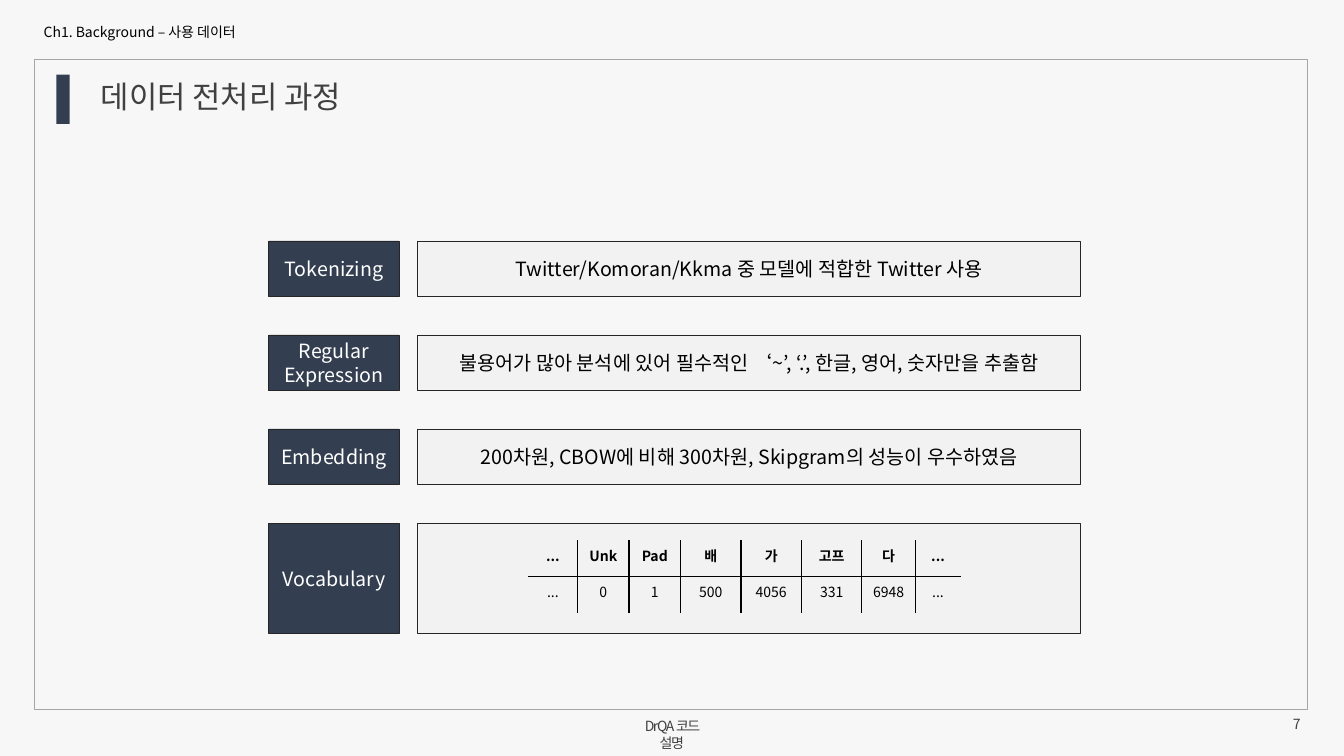
from pptx import Presentation
from pptx import util as u
from pptx.dml.color import RGBColor
from pptx.enum import shapes, text
from pptx.oxml.ns import qn
from lxml import etree

FONT = "Noto Sans CJK KR"
NAVY, INK, GREY, BLACK, WHITE = "333F50", "262626", "404040", "000000", "FFFFFF"
LEFT, CENTER, RIGHT = text.PP_ALIGN.LEFT, text.PP_ALIGN.CENTER, text.PP_ALIGN.RIGHT
TOP, MIDDLE = text.MSO_ANCHOR.TOP, text.MSO_ANCHOR.MIDDLE


def color(value):
    return RGBColor.from_string(value)


class Deck:
    """Holds the style and current slide; lengths are percentages of its size."""

    def __init__(self, width, height, background):
        self.prs = Presentation()
        self.prs.slide_width, self.prs.slide_height = u.Inches(width), u.Inches(height)
        self.s = self.prs.slides.add_slide(self.prs.slide_layouts[1])
        self.s.background.fill.solid()
        self.s.background.fill.fore_color.rgb = color(background)

    def x(self, share):
        return round(self.prs.slide_width * share / 100)

    def y(self, share):
        return round(self.prs.slide_height * share / 100)

    def box(self, left, top, width, height):
        return self.x(left), self.y(top), self.x(width), self.y(height)

    def set_text(self, tf, words, size, ink, align=LEFT, bold=False, spacing=None):
        tf.text = words
        p = tf.paragraphs[0]
        p.alignment, p.line_spacing = align, spacing
        for r in p.runs:
            r.font.size, r.font.name, r.font.bold = u.Pt(size), FONT, bold
            r.font.color.rgb = color(ink)
            etree.SubElement(r.font._element, qn("a:ea"), typeface=FONT)
        return p

    def placeholder(self, sp, area, words, size, ink):
        sp.left, sp.top, sp.width, sp.height = self.box(*area)
        tf = sp.text_frame
        tf.vertical_anchor, tf.auto_size = TOP, text.MSO_AUTO_SIZE.NONE
        p = self.set_text(tf, words, size, ink, spacing=0.9)
        p.space_before = u.Pt(10)
        pPr = p._p.get_or_add_pPr()
        pPr.set("marL", "0")
        pPr.set("indent", "0")
        etree.SubElement(pPr, qn("a:buNone"))

    def rect(self, area, fill=None, line=None, words="", ink=BLACK):
        sp = self.s.shapes.add_shape(shapes.MSO_SHAPE.RECTANGLE, *self.box(*area))
        sp.shadow.inherit = False
        if fill:
            sp.fill.solid()
            sp.fill.fore_color.rgb = color(fill)
        else:
            sp.fill.background()
        if line:
            sp.line.color.rgb, sp.line.width = color(line), u.Pt(0.5)
        else:
            sp.line.fill.background()
        if words:
            sp.text_frame.vertical_anchor = MIDDLE
            self.set_text(sp.text_frame, words, 14, ink, CENTER)

    def note(self, area, words, align, anchor, tracking=0):
        tf = self.s.shapes.add_textbox(*self.box(*area)).text_frame
        tf.word_wrap, tf.vertical_anchor = True, anchor
        tf.margin_left = tf.margin_right = u.Inches(0.07)
        tf.margin_top = tf.margin_bottom = u.Inches(0.04)
        p = self.set_text(tf, words, 10, GREY, align)
        if tracking:
            p.runs[0].font._element.set("spc", str(tracking))

    def border(self, cell, side, shown):
        ln = etree.SubElement(cell._tc.get_or_add_tcPr(), qn("a:ln" + side), w=str(u.Pt(1)))
        if shown:
            fill = etree.SubElement(ln, qn("a:solidFill"))
            etree.SubElement(fill, qn("a:srgbClr"), val=BLACK)
        else:
            etree.SubElement(ln, qn("a:noFill"))

    def table(self, left, top, widths, row_height, rows):
        area = self.box(left, top, sum(widths), row_height * len(rows))
        tbl = self.s.shapes.add_table(len(rows), len(widths), *area).table
        tbl.horz_banding = tbl.first_row = False
        for column, width in zip(tbl.columns, widths):
            column.width = self.x(width)
        last_row, last_col = len(rows) - 1, len(widths) - 1
        for i, row in enumerate(rows):
            for j, words in enumerate(row):
                cell = tbl.cell(i, j)
                self.set_text(cell.text_frame, words, 10, BLACK, CENTER, bold=i == 0)
                # Only the inner grid lines show
                inner = {"L": j > 0, "R": j < last_col, "T": i > 0, "B": i < last_row}
                for side, shown in inner.items():
                    self.border(cell, side, shown)
                cell.fill.background()


deck = Deck(13.33, 7.5, "F7F7F7")

# Headings
title, body = deck.s.placeholders
deck.placeholder(title, (6.75, 10.13, 88.67, 6.27), "데이터 전처리 과정", 22, GREY)
deck.placeholder(body, (2.5, 2.67, 43.2, 3.47), "Ch1. Background – 사용 데이터", 10, BLACK)

# Frame, title marker and footer
deck.rect((2.55, 7.87, 94.75, 86), line="A6A6A6")
deck.rect((4.2, 9.87, 0.98, 6.53), fill=NAVY)
deck.note((46.5, 94.4, 6.98, 3.2), "DrQA 코드 설명", CENTER, TOP, tracking=-100)
deck.note((90.45, 94, 6.85, 3.47), "7", RIGHT, MIDDLE)

# Preprocessing steps: label on the left, explanation on the right
steps = [
    ("Tokenizing", "Twitter/Komoran/Kkma 중 모델에 적합한 Twitter 사용", 7.35),
    ("Regular Expression", "불용어가 많아 분석에 있어 필수적인 ‘~’, ‘.’, 한글, 영어, 숫자만을 추출함", 7.35),
    ("Embedding", "200차원, CBOW에 비해 300차원, Skipgram의 성능이 우수하였음", 7.35),
    ("Vocabulary", "", 14.6),
]
for i, (label, detail, height) in enumerate(steps):
    top = 31.87 + 12.44 * i
    deck.rect((20, top, 9.7, height), NAVY, INK, label, WHITE)
    deck.rect((31.06, top, 49.36, height), "F2F2F2", INK, detail)

# Vocabulary index
deck.table(39.3, 71.47, [3.68, 3.83, 3.83, 4.5, 4.5, 4.5, 3.98, 3.38], 4.8, [
    ["...", "Unk", "Pad", "배", "가", "고프", "다", "..."],
    ["...", "0", "1", "500", "4056", "331", "6948", "..."],
])

deck.prs.save("out.pptx")
